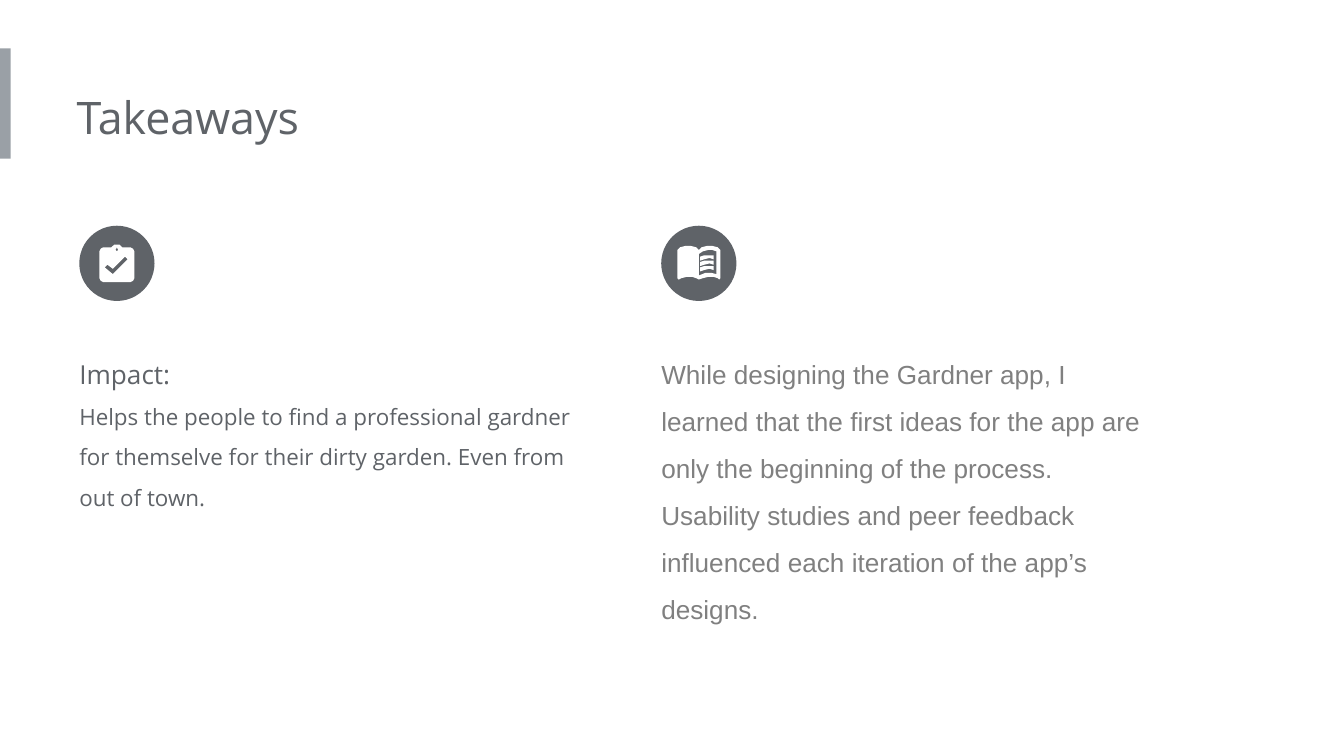
from pptx import Presentation
from pptx.dml.color import RGBColor
from pptx.enum import shapes, text
from pptx.oxml.ns import qn
from pptx.util import Inches, Pt
from lxml import etree

SLIDE_WIDTH = 10
SLIDE_HEIGHT = SLIDE_WIDTH * 9 / 16

GREY, ACCENT, WHITE, LEARNED_GREY = "5F6368", "9AA0A6", "FFFFFF", "808080"

TITLE = [("Takeaways", 24, "Open Sans", GREY)]
IMPACT = [
    ("Impact:", 14, "Open Sans", GREY),
    ("Helps the people to find a professional gardner for themselve for their "
     "dirty garden. Even from out of town.", 12, "Open Sans", GREY),
]
LEARNED = [
    ("While designing the Gardner app, I learned that the first ideas for the app "
     "are only the beginning of the process. Usability studies and peer feedback "
     "influenced each iteration of the app’s designs.", 14, "Arial", LEARNED_GREY),
]

# Icon outlines in inches, measured from the top left of their circle
CLIPBOARD = [
    [(.38, .16), (.32, .16), (.31, .15), (.3, .14), (.28, .14), (.26, .14),
     (.25, .15), (.24, .16), (.18, .16), (.16, .17), (.15, .19), (.15, .39),
     (.16, .41), (.18, .42), (.38, .42), (.4, .41), (.41, .39), (.41, .19),
     (.4, .17)],
    [(.28, .16), (.29, .18), (.28, .19), (.27, .18)],
    [(.25, .36), (.19, .31), (.21, .29), (.25, .32), (.34, .23), (.36, .25)],
]
BOOK = [
    [(.12, .18), (.12, .39), (.13, .4), (.15, .39), (.19, .38), (.23, .38),
     (.26, .39), (.28, .4), (.31, .39), (.35, .38), (.39, .38), (.42, .39),
     (.43, .4), (.44, .39), (.44, .18), (.42, .16), (.38, .15), (.34, .15),
     (.3, .16), (.28, .18), (.26, .16), (.22, .15), (.18, .15), (.14, .16)],
    [(.28, .21), (.31, .19), (.35, .18), (.38, .18), (.41, .19), (.41, .36),
     (.37, .35), (.33, .35), (.28, .37)],
]
TEXT_LINE = [(.29, .23), (.32, .22), (.36, .22), (.39, .22), (.39, .25),
             (.36, .24), (.32, .25), (.29, .26)]
LINE_STEP = .04
text_lines = [[(x, y + LINE_STEP * row) for x, y in TEXT_LINE] for row in range(3)]

COLUMNS = [  # left, body height, paragraphs, icon pieces
    (.59, 1.46, IMPACT, [CLIPBOARD]),
    (4.92, 2.32, LEARNED, [BOOK] + [[line] for line in text_lines]),
]
BODY_TOP, BODY_WIDTH = 2.45, 3.77
CIRCLE_TOP, CIRCLE_SIZE = 1.68, .56

FRAME_FORMAT = {
    "margin_left": 0, "margin_right": Inches(.1),
    "margin_top": Inches(.1), "margin_bottom": Inches(.1),
    "word_wrap": True, "vertical_anchor": text.MSO_ANCHOR.TOP,
    "auto_size": text.MSO_AUTO_SIZE.SHAPE_TO_FIT_TEXT,
}


def color(value):
    return RGBColor.from_string(value)


def paint(shape, fill):
    shape.shadow.inherit = False
    shape.fill.solid()
    shape.fill.fore_color.rgb = color(fill)
    shape.line.fill.background()


def add_block(kind, fill, *box):
    paint(slide.shapes.add_shape(kind, *map(Inches, box)), fill)


def add_outline(contours, left, top):
    """Draw closed contours as one shape; inner contours become holes."""
    placed = [[(Inches(left + x), Inches(top + y)) for x, y in contour]
              for contour in contours]
    builder = slide.shapes.build_freeform(*placed[0][0], scale=1.0)
    for number, (start, *rest) in enumerate(placed):
        if number:
            builder.move_to(*start)
        builder.add_line_segments(rest, close=True)
    paint(builder.convert_to_shape(), WHITE)


def fill_placeholder(holder, box, paragraphs, line_spacing):
    holder.left, holder.top, holder.width, holder.height = map(Inches, box)
    frame = holder.text_frame
    for name, value in FRAME_FORMAT.items():
        setattr(frame, name, value)
    for number, (words, size, font, ink) in enumerate(paragraphs):
        paragraph = frame.add_paragraph() if number else frame.paragraphs[0]
        properties = paragraph._p.get_or_add_pPr()
        properties.set("marL", "0")
        properties.set("indent", "0")
        etree.SubElement(properties, qn("a:buNone"))
        paragraph.alignment = text.PP_ALIGN.LEFT
        paragraph.line_spacing = line_spacing
        paragraph.space_before = Pt(0)
        run = paragraph.add_run()
        run.text = words
        run.font.size, run.font.name = Pt(size), font
        run.font.color.rgb = color(ink)


deck = Presentation()
deck.slide_width, deck.slide_height = Inches(SLIDE_WIDTH), Inches(SLIDE_HEIGHT)
slide = deck.slides.add_slide(deck.slide_layouts.get_by_name("Two Content"))
title, *bodies = slide.placeholders

add_block(shapes.MSO_SHAPE.RECTANGLE, ACCENT, 0, .36, .08, .82)
fill_placeholder(title, (.57, .57, 5.39, .61), TITLE, 1.0)
for body, (left, height, paragraphs, icon) in zip(bodies, COLUMNS):
    fill_placeholder(body, (left, BODY_TOP, BODY_WIDTH, height), paragraphs, 1.5)
    add_block(shapes.MSO_SHAPE.OVAL, GREY, left, CIRCLE_TOP, CIRCLE_SIZE, CIRCLE_SIZE)
    for contours in icon:
        add_outline(contours, left, CIRCLE_TOP)

deck.save("out.pptx")
